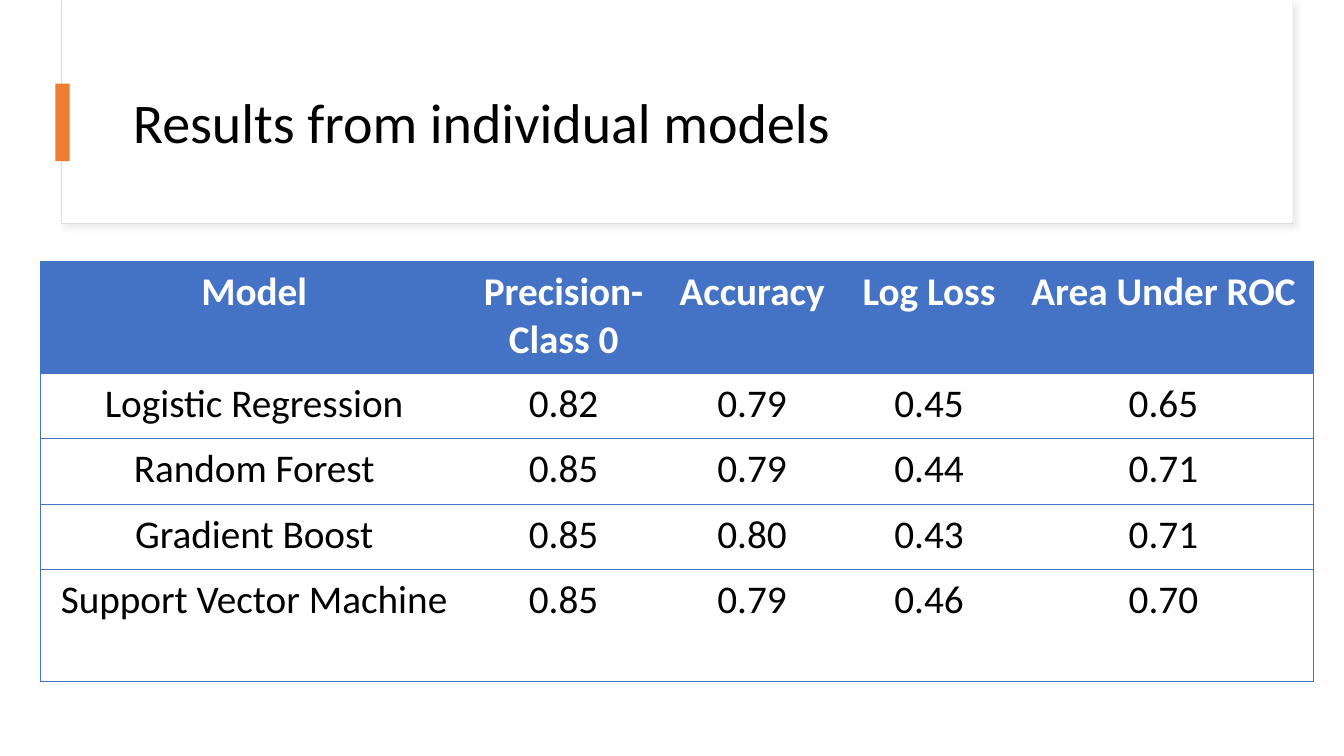
from lxml.etree import SubElement
from pptx import Presentation
from pptx.dml.color import RGBColor
from pptx.enum.shapes import MSO_SHAPE
from pptx.enum.text import MSO_ANCHOR, PP_ALIGN
from pptx.oxml import parse_xml
from pptx.oxml.ns import nsdecls, qn
from pptx.util import Inches, Pt

COLORS = {
    "white": "FFFFFF",
    "black": "000000",
    "blue": "4472C4",
    "orange": "ED7D31",
    "outline": "DEDEDE",
    "shadow": "D9D9D9",
}


def add_rectangle(slide, box, fill, line=None):
    shape = slide.shapes.add_shape(MSO_SHAPE.RECTANGLE, *map(Inches, box))
    shape.shadow.inherit = False
    shape.fill.solid()
    shape.fill.fore_color.rgb = RGBColor.from_string(COLORS[fill])
    if line:
        shape.line.color.rgb = RGBColor.from_string(COLORS[line])
        shape.line.width = Pt(0.75)
    else:
        shape.line.fill.background()
    return shape


def format_font(paragraph, size, color, bold=False):
    values = {"name": "Calibri", "size": Pt(size), "bold": bold}
    for name, value in values.items():
        setattr(paragraph.font, name, value)
    paragraph.font.color.rgb = RGBColor.from_string(COLORS[color])


presentation = Presentation()
presentation.slide_width = Inches(13.33)
presentation.slide_height = Inches(7.5)
slide = presentation.slides.add_slide(presentation.slide_layouts[6])

title_frame = add_rectangle(slide, (0.61, 0.01, 12.21, 2.21), "white", "outline")
effects = title_frame.element.spPr.find(qn("a:effectLst"))
effects.append(parse_xml(
    f'<a:outerShdw {nsdecls("a")} blurRad="{Pt(4)}" dist="{Pt(3)}" dir="2700000" '
    f'algn="tl" rotWithShape="0"><a:srgbClr val="{COLORS["shadow"]}">'
    '<a:alpha val="50000"/></a:srgbClr></a:outerShdw>'
))
add_rectangle(slide, (0.62, 0, 12.2, 2.2), "white")

title = slide.shapes.add_textbox(Inches(1.22), Inches(0.6), Inches(11.12), Inches(1.29))
title.text_frame.word_wrap = True
title.text_frame.vertical_anchor = MSO_ANCHOR.MIDDLE
paragraph = title.text_frame.paragraphs[0]
paragraph.text = "Results from individual models"
paragraph.line_spacing = 0.9
format_font(paragraph, 40, "black")

add_rectangle(slide, (0.55, 0.83, 0.14, 0.77), "orange")

results = [
    ("Model", "Precision-\nClass 0", "Accuracy", "Log Loss", "Area Under ROC"),
    ("Logistic Regression", "0.82", "0.79", "0.45", "0.65"),
    ("Random Forest", "0.85", "0.79", "0.44", "0.71"),
    ("Gradient Boost", "0.85", "0.80", "0.43", "0.71"),
    ("Support Vector Machine", "0.85", "0.79", "0.46", "0.70"),
]
column_widths = [4.24, 1.9, 1.84, 1.67, 2.98]
row_heights = [1.11, 0.65, 0.65, 0.65, 1.11]
cell_margins = {
    "margin_left": Inches(0.15),
    "margin_right": Inches(0.15),
    "margin_top": Inches(0.07),
    "margin_bottom": Inches(0.07),
}

table = slide.shapes.add_table(
    len(results), len(column_widths),
    Inches(0.4), Inches(2.59), Inches(12.62), Inches(4.16),
).table
table.horz_banding = False
for column, width in zip(table.columns, column_widths):
    column.width = Inches(width)
for row, height in zip(table.rows, row_heights):
    row.height = Inches(height)

for row_index, texts in enumerate(results):
    header = row_index == 0
    for column_index, text in enumerate(texts):
        cell = table.cell(row_index, column_index)
        cell.text = text
        for name, value in cell_margins.items():
            setattr(cell, name, value)
        for paragraph in cell.text_frame.paragraphs:
            paragraph.alignment = PP_ALIGN.CENTER
            format_font(paragraph, 28, "white" if header else "black", header)

        borders = {
            "a:lnL": column_index == 0,
            "a:lnR": column_index == len(texts) - 1,
            "a:lnT": True,
            "a:lnB": True,
        }
        properties = cell._tc.get_or_add_tcPr()
        for tag, visible in borders.items():
            border = SubElement(properties, qn(tag), w=str(Pt(0.5)))
            if visible:
                fill = SubElement(border, qn("a:solidFill"))
                SubElement(fill, qn("a:srgbClr"), val=COLORS["blue"])
            else:
                SubElement(border, qn("a:noFill"))
        cell.fill.solid()
        cell.fill.fore_color.rgb = RGBColor.from_string(COLORS["blue" if header else "white"])

presentation.save("out.pptx")
